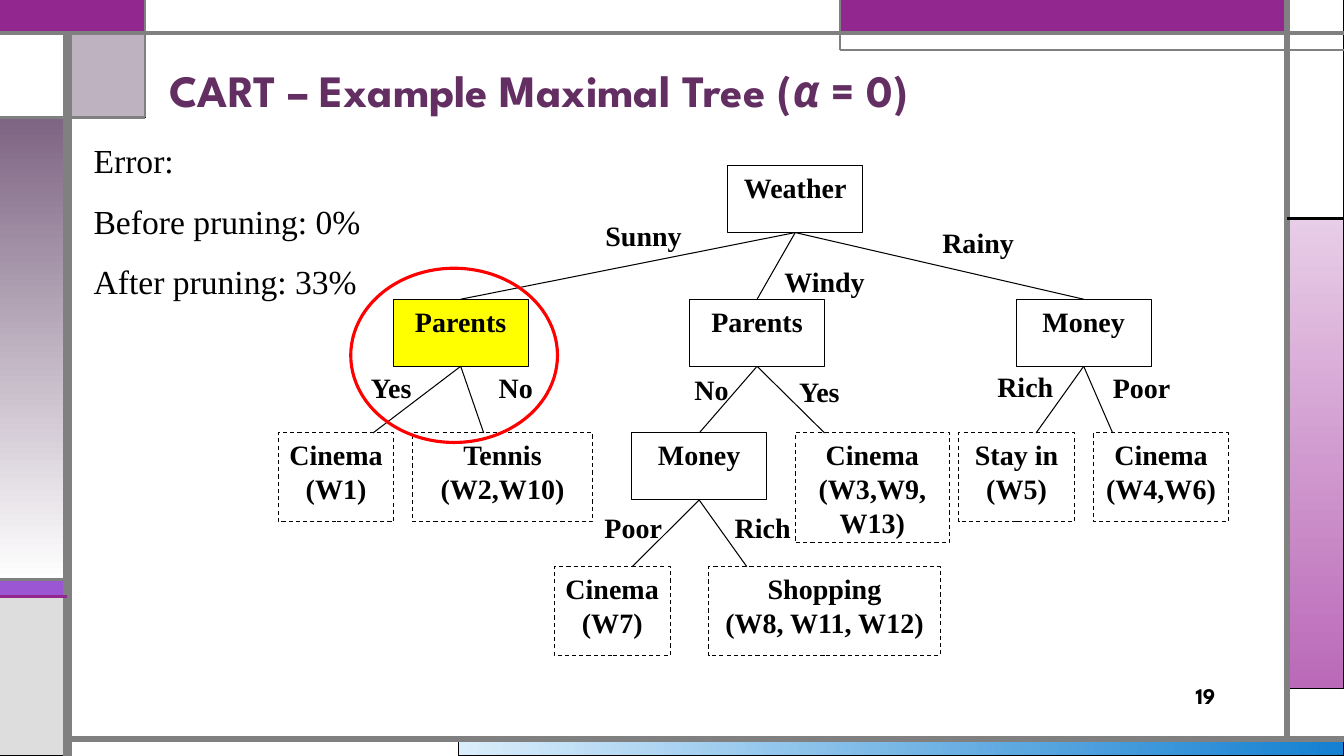
import pptx
import pptx.dml.color
import pptx.enum.dml
import pptx.enum.shapes
import pptx.enum.text
import pptx.util
from pptx.oxml.ns import qn
from pptx.util import Cm
import lxml.etree

COLOURS = {
    "black": "000000", "white": "FFFFFF", "grey": "808080", "pale grey": "DDDDDD",
    "purple": "92278F", "violet": "9B57D3", "indigo": "755DD9", "mauve": "7E6583",
    "pale pink": "E8CDE7", "pink": "BA69B8", "pale blue": "DAEDFB", "blue": "1480D1",
    "title": "632E62", "yellow": "FFFF00", "red": "FF0000",
}
SERIF, DISPLAY = "Times New Roman", "League Spartan"
WIDTH, HEIGHT = 33.87, 19.05
LEFT_RAIL, CORNER, BANNER, RIGHT_RAIL = 1.7, 3.66, 21.16, 32.44
TOP_RAIL, BANNER_FOOT, CORNER_FOOT, RIGHT_BREAK = 0.84, 1.27, 2.96, 5.51
STRIPE_TOP, STRIPE_FOOT, BOTTOM_RAIL = 14.61, 15.03, 18.63
LEVEL_TOP, LEVEL_STEP, NODE_WIDTH, NODE_HEIGHT = 4.17, 3.37, 3.4, 1.69

PANELS = [
    (11.56, BOTTOM_RAIL, WIDTH, HEIGHT, ("pale blue", "blue", 0), "black", 0.75),
    (RIGHT_RAIL, RIGHT_BREAK, WIDTH, 17.36, ("pale pink", "pink", 270), "black", 0.75),
    (0, STRIPE_TOP, LEFT_RAIL, STRIPE_FOOT, "violet", "black", 0.75),
    (0, STRIPE_FOOT, LEFT_RAIL, HEIGHT, "pale grey", "black", 0.75),
    (RIGHT_RAIL, 0, WIDTH, RIGHT_BREAK, "white", "black", 0.75),
    (BANNER, 0, RIGHT_RAIL, TOP_RAIL, "purple", "indigo", 0.75),
    (LEFT_RAIL, TOP_RAIL, CORNER, CORNER_FOOT, "mauve", "black", 0.75),
    (0, CORNER_FOOT, LEFT_RAIL, STRIPE_TOP, ("mauve", "white", 270), "black", 0.75),
    (0, TOP_RAIL, LEFT_RAIL, CORNER_FOOT, "white", "black", 0.75),
    (0, 0, CORNER, TOP_RAIL, "purple", "purple", 1.5),
    (CORNER, 0, BANNER, TOP_RAIL, "white", "grey", 0.75),
]
RAILS = [
    (LEFT_RAIL, HEIGHT, LEFT_RAIL, TOP_RAIL, "grey", 6),
    (LEFT_RAIL, BOTTOM_RAIL, WIDTH, BOTTOM_RAIL, "grey", 4.5),
    (RIGHT_RAIL, BOTTOM_RAIL, RIGHT_RAIL, 0, "grey", 4.5),
    (0, TOP_RAIL, WIDTH, TOP_RAIL, "grey", 3),
    (WIDTH, BANNER_FOOT, BANNER, BANNER_FOOT, "grey", 1.5),
    (BANNER, BANNER_FOOT, BANNER, 0, "grey", 1.5),
    (RIGHT_RAIL, RIGHT_BREAK, WIDTH, RIGHT_BREAK, "black", 2.25),
    (CORNER, 0, CORNER, CORNER_FOOT, "grey", 1.5),
    (CORNER, CORNER_FOOT, 0, CORNER_FOOT, "grey", 2.25),
    (LEFT_RAIL, STRIPE_TOP, 0, STRIPE_TOP, "grey", 2.25),
    (LEFT_RAIL, STRIPE_FOOT, 0, STRIPE_FOOT, "purple", 2.25),
]
# node: question, level, centre, fill, branches as (answer, end, label centre, label top)
DECISIONS = [
    ("Weather", 0, 20.04, "white", [("Sunny", 11.61, 16.22, 5.38),
                                    ("Windy", 19.08, 20.78, 6.53),
                                    ("Rainy", 27.31, 24.65, 5.56)]),
    ("Parents", 1, 11.61, "yellow", [("Yes", 9.4, 9.86, 9.22), ("No", 12.19, 13, 9.22)]),
    ("Parents", 1, 19.08, "white", [("No", 17.62, 17.93, 9.27), ("Yes", 20.78, 20.65, 9.32)]),
    ("Money", 1, 27.31, "white", [("Rich", 26.11, 25.84, 9.19), ("Poor", 28.04, 28.77, 9.22)]),
    ("Money", 2, 17.62, "white", [("Poor", 15.93, 15.96, 12.73), ("Rich", 18.82, 19.22, 12.73)]),
]
OUTCOMES = [
    ("Cinema", "(W1)", 2, 7.01, 2.92, 2.24), ("Tennis", "(W2,W10)", 2, 10.39, 4.55, 2.24),
    ("Cinema", "(W7)", 3, 13.97, 2.92, 2.24), ("Shopping", "(W8, W11, W12)", 3, 17.86, 5.84, 2.24),
    ("Cinema", "(W3,W9, W13)", 2, 20.04, 3.89, 2.77), ("Stay in", "(W5)", 2, 24.16, 2.92, 2.24),
    ("Cinema", "(W4,W6)", 2, 27.56, 3.4, 2.24),
]


def rgb(name):
    """Return the named colour."""
    return pptx.dml.color.RGBColor.from_string(COLOURS[name])


def level_top(level):
    """Return the top of a tree level in centimetres."""
    return LEVEL_TOP + level * LEVEL_STEP


def add_outline(slide, kind, left, top, width, height, fill, line, weight):
    """Add a preset shape with a plain, gradient or empty fill."""
    shape = slide.shapes.add_shape(kind, Cm(left), Cm(top), Cm(width), Cm(height))
    shape.shadow.inherit = False
    if fill is None:
        shape.fill.background()
    elif isinstance(fill, tuple):
        start, end, angle = fill
        shape.fill.gradient()
        shape.fill.gradient_angle = angle
        for stop, colour in zip(shape.fill.gradient_stops, (start, end)):
            stop.color.rgb = rgb(colour)
    else:
        shape.fill.solid()
        shape.fill.fore_color.rgb = rgb(fill)
    shape.line.color.rgb = rgb(line)
    shape.line.width = pptx.util.Pt(weight)
    return shape


def add_line(slide, x1, y1, x2, y2, colour="black", weight=0.75):
    """Add a straight line without a shadow."""
    line = slide.shapes.add_connector(
        pptx.enum.shapes.MSO_CONNECTOR.STRAIGHT, Cm(x1), Cm(y1), Cm(x2), Cm(y2))
    line.line.color.rgb = rgb(colour)
    line.line.width = pptx.util.Pt(weight)
    lxml.etree.SubElement(line._element.spPr, qn("a:effectLst"))


def write(shape, lines, size=20, font=SERIF, colour="black", bold=True,
          align="CENTER", anchor="TOP", spacing=None):
    """Write lines into a shape, one paragraph each."""
    frame = shape.text_frame
    frame.word_wrap = True
    frame.vertical_anchor = pptx.enum.text.MSO_ANCHOR[anchor]
    frame.text = "\n".join(lines)
    for paragraph in frame.paragraphs:
        paragraph.alignment = pptx.enum.text.PP_ALIGN[align]
        paragraph.line_spacing = spacing
        paragraph.font.size = pptx.util.Pt(size)
        paragraph.font.name = font
        paragraph.font.bold = bold
        paragraph.font.color.rgb = rgb(colour)
    return frame


def add_text(slide, left, top, width, height, lines, **style):
    """Add a text box and return its text frame."""
    box = slide.shapes.add_textbox(Cm(left), Cm(top), Cm(width), Cm(height))
    return write(box, lines, **style)


def add_tree_box(slide, lines, left, top, width, height, fill=None):
    """Add a tree box, dashed when it has no fill."""
    box = add_outline(slide, pptx.enum.shapes.MSO_SHAPE.RECTANGLE,
                      left, top, width, height, fill, "black", 0.75)
    if fill is None:
        box.line.dash_style = pptx.enum.dml.MSO_LINE.DASH
    frame = write(box, lines)
    frame.margin_left = frame.margin_right = Cm(0.1)


def add_frame(slide):
    """Draw the coloured panels and rails around the slide."""
    for left, top, right, bottom, fill, line, weight in PANELS:
        panel = add_outline(slide, pptx.enum.shapes.MSO_SHAPE.RECTANGLE, left, top,
                            right - left, bottom - top, fill, line, weight)
        if fill == "mauve":
            tint = panel._element.spPr.find(qn("a:solidFill"))[0]
            lxml.etree.SubElement(tint, qn("a:alpha")).set("val", "50000")
    for rail in RAILS:
        add_line(slide, *rail)


def add_tree(slide):
    """Draw the decisions, their branches and the outcomes."""
    for question, level, centre, fill, branches in DECISIONS:
        top = level_top(level)
        add_tree_box(slide, [question], centre - NODE_WIDTH / 2, top,
                     NODE_WIDTH, NODE_HEIGHT, fill)
        for answer, end, label_centre, label_top in branches:
            add_line(slide, centre, top + NODE_HEIGHT, end, level_top(level + 1))
            add_text(slide, label_centre - 1.5, label_top, 3, 1.6, [answer])
    for activity, weekends, level, left, width, height in OUTCOMES:
        add_tree_box(slide, [activity, weekends], left, level_top(level), width, height)


def main():
    """Build the slide and save it."""
    deck = pptx.Presentation()
    deck.slide_width, deck.slide_height = Cm(WIDTH), Cm(HEIGHT)
    slide = deck.slides.add_slide(deck.slide_layouts[6])
    add_frame(slide)
    title = add_text(slide, 4.01, 0.97, 26.67, 2.11, ["CART – Example Maximal Tree ("],
                     size=32, font=DISPLAY, colour="title", align="LEFT",
                     anchor="BOTTOM", spacing=0.9).paragraphs[0]
    alpha = title.add_run()
    alpha.text = "α"
    alpha.font.italic = True
    title.add_run().text = " = 0)"
    add_text(slide, 28.14, 17.15, 2.74, 0.76, ["19"], size=16, font=DISPLAY,
             align="RIGHT", anchor="MIDDLE")
    add_tree(slide)
    add_text(slide, 2.11, 2.9, 8.56, 4.88,
             ["Error:", "Before pruning: 0%", "After pruning: 33%"],
             size=24, bold=False, align="LEFT", spacing=1.5)
    add_outline(slide, pptx.enum.shapes.MSO_SHAPE.OVAL, 8.84, 6.76, 5.21, 4.39,
                None, "red", 2.25)
    deck.save("out.pptx")


if __name__ == "__main__":
    main()
